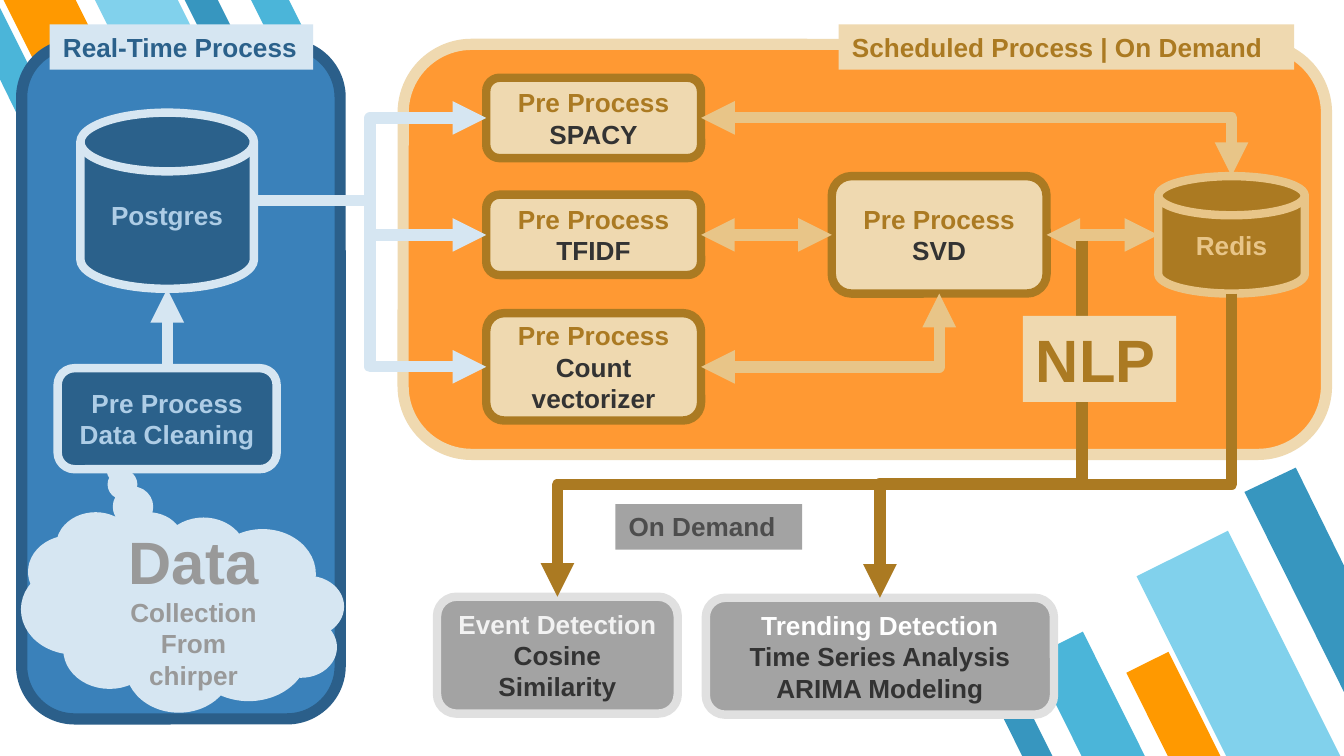
from lxml.etree import SubElement
from pptx import Presentation
from pptx.dml.color import RGBColor
from pptx.enum.shapes import MSO_CONNECTOR, MSO_SHAPE
from pptx.enum.text import MSO_ANCHOR, MSO_AUTO_SIZE, PP_ALIGN
from pptx.oxml.ns import qn
from pptx.util import Cm, Pt

TOP, LEFT, BOTTOM, RIGHT = range(4)
PALE, NAVY, SKY = "D6E6F2", "2B618B", "AECDE6"
CREAM, BROWN, SAND = "EFD9B0", "AB7A22", "E8C588"
GRAY, SILVER, INK = "A3A3A3", "E0E0E0", "333333"
AQUA, LIGHT_AQUA, TEAL, AMBER = "4BB5D9", "81D1EC", "3796BF", "FF9900"


def rgb(code):
    return RGBColor.from_string(code)


def side(node, index):
    middle_x = node.left + node.width // 2
    middle_y = node.top + node.height // 2
    return {
        TOP: (middle_x, node.top),
        LEFT: (node.left, middle_y),
        BOTTOM: (middle_x, node.top + node.height),
        RIGHT: (node.left + node.width, middle_y),
    }[index]


class Diagram:
    font_name = "Arial"
    text_size = 14
    border_width = 4.5
    wire_width = 6

    def __init__(self, slide):
        self.shapes = slide.shapes

    def paint(self, shape, fill, border=None, width=border_width):
        shape.shadow.inherit = False
        shape.fill.solid()
        shape.fill.fore_color.rgb = rgb(fill)
        if border:
            shape.line.color.rgb = rgb(border)
            shape.line.width = Pt(width)
        else:
            shape.line.fill.background()

    def style(self, paragraph, color, size=None):
        paragraph.font.name = self.font_name
        paragraph.font.bold = True
        paragraph.font.color.rgb = rgb(color)
        if size:
            paragraph.font.size = Pt(size)

    def bar(self, box, fill, angle):
        stripe = self.shapes.add_shape(MSO_SHAPE.FLOWCHART_MANUAL_INPUT, *map(Cm, box))
        self.paint(stripe, fill)
        stripe.rotation = angle
        stripe.element.spPr.xfrm.set("flipH", "1")

    def outline(self, points, fill):
        corners = [(Cm(x), Cm(y)) for x, y in points]
        builder = self.shapes.build_freeform(*corners[0], scale=1.0)
        builder.add_line_segments(corners[1:], close=True)
        self.paint(builder.convert_to_shape(), fill)

    def panel(self, box, fill, border):
        frame = self.shapes.add_shape(MSO_SHAPE.ROUNDED_RECTANGLE, *map(Cm, box))
        self.paint(frame, fill, border, 6)

    def node(self, box, fill, border, lines, kind=MSO_SHAPE.ROUNDED_RECTANGLE):
        step = self.shapes.add_shape(kind, *map(Cm, box))
        self.paint(step, fill, border)
        frame = step.text_frame
        frame.word_wrap = True
        frame.vertical_anchor = MSO_ANCHOR.MIDDLE
        for number, (text, color) in enumerate(lines):
            paragraph = frame.add_paragraph() if number else frame.paragraphs[0]
            paragraph.text = text
            paragraph.alignment = PP_ALIGN.CENTER
            self.style(paragraph, color, self.text_size)
        return step

    def cloud(self, box, fill, color, heading, body, ending):
        thought = self.node(box, fill, fill, [("", color), (ending, color)],
                            MSO_SHAPE.CLOUD_CALLOUT)
        thought.element.spPr.xfrm.set("flipH", "1")
        thought.adjustments[0] = 0.21
        thought.adjustments[1] = -0.73
        opening = thought.text_frame.paragraphs[0]
        for text, size in ((heading, 32), (body, self.text_size)):
            run = opening.add_run()
            run.text = text
            run.font.size = Pt(size)

    def label(self, box, fill, text, color, size=text_size):
        tag = self.shapes.add_textbox(*map(Cm, box))
        tag.fill.solid()
        tag.fill.fore_color.rgb = rgb(fill)
        tag.text_frame.word_wrap = True
        tag.text_frame.auto_size = MSO_AUTO_SIZE.SHAPE_TO_FIT_TEXT
        paragraph = tag.text_frame.paragraphs[0]
        paragraph.text = text
        self.style(paragraph, color, size)

    def wire(self, kind, start, end, color, both):
        connector = self.shapes.add_connector(kind, *start, *end)
        connector.line.color.rgb = rgb(color)
        connector.line.width = Pt(self.wire_width)
        properties = connector.element.spPr
        line = properties.get_or_add_ln()
        if both:
            SubElement(line, qn("a:headEnd"), type="triangle")
        SubElement(line, qn("a:tailEnd"), type="triangle")
        SubElement(properties, qn("a:effectLst"))
        return connector

    def straight(self, source, source_side, target, target_side, color, both=False):
        connector = self.wire(MSO_CONNECTOR.STRAIGHT, side(source, source_side),
                              side(target, target_side), color, both)
        if source.auto_shape_type == MSO_SHAPE.ROUNDED_RECTANGLE:
            connector.begin_connect(source, source_side)
        if target.auto_shape_type == MSO_SHAPE.ROUNDED_RECTANGLE:
            connector.end_connect(target, target_side)

    def elbow(self, start, end, color):
        self.wire(MSO_CONNECTOR.ELBOW, start, end, color, False)

    def vertical_elbow(self, start, end, color, bend=None):
        across, along = abs(end[0] - start[0]), abs(end[1] - start[1])
        left = (start[0] + end[0] - along) // 2
        top = (start[1] + end[1] - across) // 2
        connector = self.wire(MSO_CONNECTOR.ELBOW, (left, top),
                              (left + along, top + across), color, bend is None)
        properties = connector.element.spPr
        downward = end[1] > start[1]
        properties.xfrm.set("rot", str((90 if downward else 270) * 60000))
        if not downward:
            properties.xfrm.set("flipV", "1")
        geometry = properties.find(qn("a:prstGeom"))
        if bend is None:
            geometry.set("prst", "bentConnector2")
        else:
            SubElement(geometry.find(qn("a:avLst")), qn("a:gd"),
                       name="adj1", fmla=f"val {round(bend * 100000)}")


def main():
    presentation = Presentation()
    presentation.slide_width, presentation.slide_height = Cm(25.4), Cm(14.29)
    diagram = Diagram(presentation.slides.add_slide(presentation.slide_layouts[6]))

    for box, fill in (
        ((20.04, 12.04, 1.07, 2.64), AQUA),
        ((22.45, 10.21, 1.93, 4.8), LIGHT_AQUA),
        ((21.74, 12.4, 0.89, 2.24), AMBER),
        ((19.13, 13.23, 0.51, 1.24), TEAL),
    ):
        diagram.bar(box, fill, 153.5)
    diagram.outline([(24.49, 8.84), (23.52, 9.3), (25.4, 13.08), (25.4, 10.69)], TEAL)
    for box, fill in (
        ((3.78, -0.2, 0.56, 1.42), TEAL),
        ((0.66, -0.46, 1.22, 3), AMBER),
        ((2.49, -0.51, 1.4, 3.48), LIGHT_AQUA),
        ((5.05, -0.25, 0.64, 1.57), AQUA),
    ):
        diagram.bar(box, fill, 333.5)
    diagram.outline([(0.51, 2.54), (1.07, 2.29), (0, 0.15), (0, 1.5)], AQUA)

    diagram.panel((7.62, 0.84, 17.45, 7.75), "FF9933", CREAM)
    diagram.panel((0.41, 0.84, 6.02, 12.75), "3A81BA", "2B5F8A")
    diagram.cloud((0.48, 9.75, 5.94, 3.63), PALE, "999999",
                  "Data ", "Collection From", "chirper")

    trending = diagram.node((13.34, 11.3, 6.58, 2.21), GRAY, SILVER, [
        ("Trending Detection", "FFFFFF"), ("Time Series Analysis", INK), ("ARIMA Modeling", INK)])
    event = diagram.node((8.26, 11.28, 4.55, 2.21), GRAY, SILVER, [
        ("Event Detection", "F2F2F2"), ("Cosine Similarity", INK)])
    cleaning = diagram.node((1.09, 6.96, 4.14, 1.91), NAVY, PALE, [
        ("Pre Process", SKY), ("Data Cleaning", SKY)])
    svd, spacy, tfidf, count = [
        diagram.node((left, top, 4.06, height), CREAM, BROWN,
                     [("Pre Process", BROWN), (method, INK)])
        for left, top, height, method in (
            (15.72, 3.33, 2.22, "SVD"),
            (9.19, 1.47, 1.52, "SPACY"),
            (9.19, 3.68, 1.52, "TFIDF"),
            (9.19, 5.92, 2.03, "Count vectorizer"),
        )
    ]
    postgres = diagram.node((1.52, 2.13, 3.28, 3.33), NAVY, PALE, [("Postgres", SKY)],
                            MSO_SHAPE.FLOWCHART_MAGNETIC_DISK)
    redis = diagram.node((21.89, 3.33, 2.77, 2.22), BROWN, SAND, [("Redis", SAND)],
                         MSO_SHAPE.FLOWCHART_MAGNETIC_DISK)

    diagram.straight(cleaning, TOP, postgres, BOTTOM, PALE)
    for vectorizer in (tfidf, spacy, count):
        diagram.elbow(side(postgres, RIGHT), side(vectorizer, LEFT), PALE)
    diagram.straight(redis, LEFT, svd, RIGHT, SAND, both=True)
    diagram.straight(svd, LEFT, tfidf, RIGHT, SAND, both=True)
    diagram.vertical_elbow(side(redis, TOP), side(spacy, RIGHT), SAND)
    diagram.vertical_elbow(side(svd, BOTTOM), side(count, RIGHT), SAND)
    diagram.vertical_elbow((Cm(20.45), Cm(4.55)), side(trending, TOP), BROWN, 0.68)
    diagram.vertical_elbow(side(redis, BOTTOM), side(event, TOP), BROWN, 0.63)

    diagram.label((0.94, 0.46, 4.98, 0.86), PALE, "Real-Time Process", NAVY)
    diagram.label((15.85, 0.46, 8.61, 0.86), CREAM, "Scheduled Process | On Demand", BROWN)
    diagram.label((11.63, 9.53, 3.53, 0.86), GRAY, "On Demand", "4D4D4D")
    diagram.label((19.33, 5.97, 2.9, 1.63), CREAM, "NLP", BROWN, 32)

    presentation.save("out.pptx")


if __name__ == "__main__":
    main()
